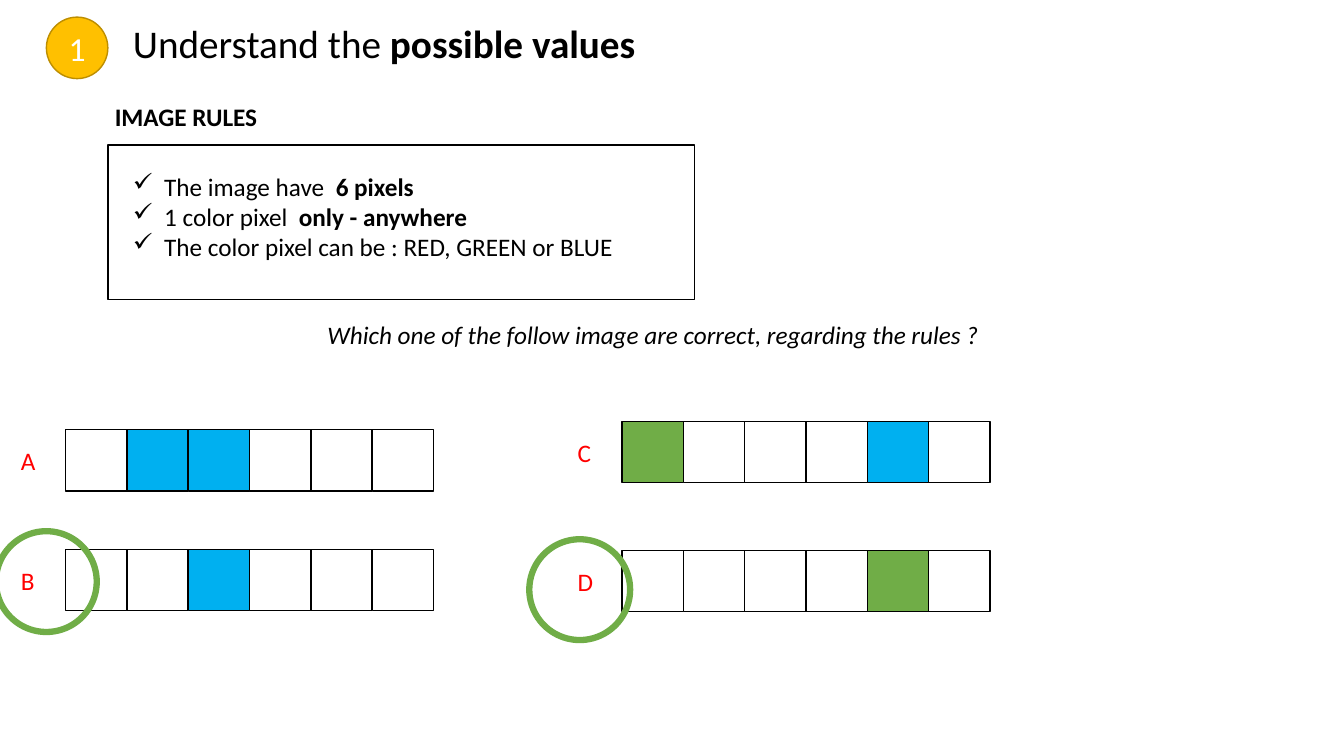
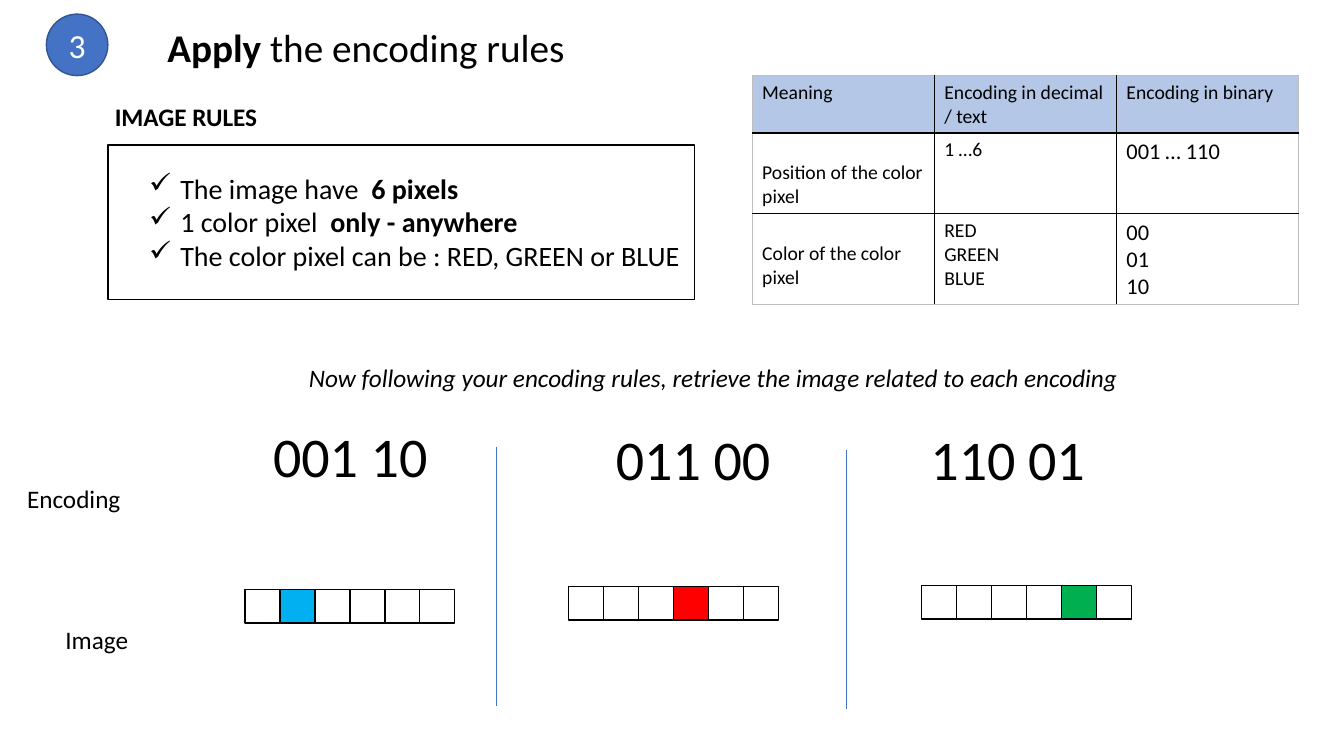
from lxml import etree
from pptx import Presentation
from pptx.dml.color import RGBColor
from pptx.enum.shapes import MSO_CONNECTOR, MSO_SHAPE
from pptx.enum.text import MSO_ANCHOR, PP_ALIGN
from pptx.oxml import parse_xml
from pptx.oxml.ns import nsdecls, qn
from pptx.util import Inches, Pt

RECT, OVAL = MSO_SHAPE.RECTANGLE, MSO_SHAPE.OVAL
LINE = MSO_CONNECTOR.STRAIGHT
LEFT, MID = PP_ALIGN.LEFT, PP_ALIGN.CENTER
ANCHOR = MSO_ANCHOR.MIDDLE
FONT = "Calibri"
BLACK, WHITE, RED, GREEN = "000000", "FFFFFF", "FF0000", "70AD47"
SKY, LEAF, BLUE, GOLD = "00B0F0", "00B050", "4472C4", "FFC000"
HEAD, EDGE = "B4C7E7", "BFBFBF"

RULES = [
    [("The image have  ", False), ("6 pixels", True)],
    [("1 color pixel  ", False), ("only - anywhere", True)],
    [("The color pixel can be : RED, GREEN or BLUE", False)],
]
PAGES = [
    dict(num="1", top=0.17, fill=GOLD, line="BD8E00",
         title=[("Understand the ", False), ("possible values", True)],
         area=(1.22, 0.14, 5.45, 0.57), align=LEFT,
         rules=(1.22, 1.65, 5.13, 1.01), size=18, wrap=True,
         ask="Which one of the follow image are correct, regarding the rules ?",
         ask_area=(3.15, 3.12, 7.26, 0.4), ask_align=LEFT),
    dict(num="3", top=0.14, fill=BLUE, line="325491",
         title=[("Apply", True), (" the encoding rules", False)],
         area=(1.38, 0.18, 4.5, 0.57), align=MID,
         rules=(1.38, 1.65, 5.51, 1.11), size=20, wrap=False,
         ask="Now following your encoding rules, retrieve the image related to each encoding",
         ask_area=(2.39, 3.55, 9.37, 0.4), ask_align=MID),
]
CHOICES = [
    ("A", 0.65, 4.26, {1: SKY, 2: SKY}),
    ("B", 0.65, 5.45, {2: SKY}),
    ("C", 6.17, 4.18, {0: GREEN, 4: SKY}),
    ("D", 6.17, 5.46, {4: GREEN}),
]
RINGS = [(-0.04, 5.27), (5.25, 5.35)]
CODES = [
    ("001 10", 2.61, 4.13, 2.43, 5.85, {1: SKY}),
    ("011 00", 6.01, 4.16, 5.64, 5.82, {3: RED}),
    ("110 01", 9.13, 4.16, 9.14, 5.81, {4: LEAF}),
]
LABELS = [("Encoding", (0.17, 4.75, 1.14, 0.4)), ("Image", (0.55, 6.14, 0.83, 0.4))]
RULERS = [(4.92, 4.43), (8.39, 4.46)]
TABLE = [
    ["Meaning", "Encoding in decimal / text", "Encoding in binary"],
    ["Position of the color pixel", "1 …6", "001 … 110"],
    ["Color of the color pixel", "RED\nGREEN\nBLUE", "00\n01\n10"],
]
ROWS = [0.57, 0.8, 0.9]


def rgb(code):
    """Turn a hex string into a colour."""
    return RGBColor.from_string(code)


def style(run, size, color=BLACK, bold=False, italic=False):
    """Format one run."""
    font = run.font
    font.name, font.size = FONT, Pt(size)
    font.bold, font.italic = bold, italic
    font.color.rgb = rgb(color)


def write(slide, area, lines, size, color=BLACK, italic=False, align=LEFT, wrap=True):
    """Add a text box whose lines are lists of (text, bold) parts."""
    frame = slide.shapes.add_textbox(*map(Inches, area)).text_frame
    frame.word_wrap = wrap
    for i, parts in enumerate(lines):
        para = frame.add_paragraph() if i else frame.paragraphs[0]
        para.alignment = align
        for text, bold in parts:
            run = para.add_run()
            run.text = text
            style(run, size, color, bold, italic)
    return frame


def draw(slide, kind, area, fill=None, line=BLACK, width=1):
    """Add a flat outlined shape, filled or hollow."""
    shape = slide.shapes.add_shape(kind, *map(Inches, area))
    shape.shadow.inherit = False
    if fill:
        shape.fill.solid()
        shape.fill.fore_color.rgb = rgb(fill)
    else:
        shape.fill.background()
    shape.line.color.rgb = rgb(line)
    shape.line.width = Pt(width)
    return shape


def strip(slide, left, top, width, height, marks):
    """Draw a row of six pixels with some of them coloured."""
    step = width / 6
    for i in range(6):
        draw(slide, RECT, (left + i * step, top, step, height), marks.get(i, WHITE))


def check(para):
    """Give a paragraph a hanging tick."""
    props = para._p.get_or_add_pPr()
    props.set("marL", str(Inches(0.31)))
    props.set("indent", str(-Inches(0.31)))
    etree.SubElement(props, qn("a:buChar")).set("char", "✓")


def start(deck, page):
    """Add a slide with its badge, title, rules and question."""
    slide = deck.slides.add_slide(deck.slide_layouts[6])
    badge = draw(slide, OVAL, (0.46, page["top"], 0.61, 0.61), page["fill"], page["line"])
    frame = badge.text_frame
    frame.text = page["num"]
    frame.vertical_anchor = ANCHOR
    frame.paragraphs[0].alignment = MID
    style(frame.paragraphs[0].runs[0], 24, WHITE)
    write(slide, page["area"], [page["title"]], 28, align=page["align"])
    write(slide, (1.04, 0.96, 1.63, 0.4), [[("IMAGE RULES", True)]], 18, wrap=False)
    draw(slide, RECT, (1.07, 1.44, 5.82, 1.53))
    rules = write(slide, page["rules"], RULES, page["size"], wrap=page["wrap"])
    for para in rules.paragraphs:
        check(para)
    write(slide, page["ask_area"], [[(page["ask"], False)]], 18, italic=True,
          align=page["ask_align"])
    return slide


def border(cell, side, color):
    """Draw one side of a table cell."""
    cell._tc.get_or_add_tcPr().append(parse_xml(
        f'<a:ln{side} {nsdecls("a")} w="12700"><a:solidFill>'
        f'<a:srgbClr val="{color}"/></a:solidFill></a:ln{side}>'))


def grid(slide):
    """Add the table of encodings."""
    table = slide.shapes.add_table(
        3, 3, Inches(7.46), Inches(0.75), Inches(5.42), Inches(sum(ROWS))).table
    table.first_row = table.horz_banding = False
    for r, texts in enumerate(TABLE):
        table.rows[r].height = Inches(ROWS[r])
        for c, text in enumerate(texts):
            cell = table.cell(r, c)
            outer = {"L": c == 0, "R": c == 2, "T": r == 0, "B": r == 2}
            for side, edge in outer.items():
                border(cell, side, EDGE if edge else BLACK)
            if r:
                cell.fill.background()
            else:
                cell.fill.solid()
                cell.fill.fore_color.rgb = rgb(HEAD)
            if r and c == 0:
                cell.margin_top = Inches(0.28)
            cell.text_frame.text = text
            for para in cell.text_frame.paragraphs:
                style(para.runs[0], 16 if r and c == 2 else 14)


def choose(deck):
    """Build the slide of four candidate images."""
    slide = start(deck, PAGES[0])
    for name, left, top, marks in CHOICES:
        area = (left - 0.54, top + 0.11, 0.35, 0.4)
        write(slide, area, [[(name, False)]], 18, RED)
        strip(slide, left, top, 3.65, 0.61, marks)
    for left, top in RINGS:
        draw(slide, OVAL, (left, top, 1, 1), line=GREEN, width=4.5)


def decode(deck):
    """Build the slide of three encodings and their images."""
    slide = start(deck, PAGES[1])
    grid(slide)
    for text, area in LABELS:
        write(slide, area, [[(text, False)]], 18, wrap=False)
    for code, x, y, left, top, marks in CODES:
        write(slide, (x, y, 1.75, 0.77), [[(code, False)]], 40, wrap=False)
        strip(slide, left, top, 2.08, 0.33, marks)
    for x, y in RULERS:
        rule = slide.shapes.add_connector(
            LINE, Inches(x), Inches(y), Inches(x), Inches(y + 2.57))
        rule.line.color.rgb = rgb(BLUE)
        rule.line.width = Pt(0.5)
        etree.SubElement(rule._element.spPr, qn("a:effectLst"))


def main():
    """Build and save the deck."""
    deck = Presentation()
    deck.slide_width, deck.slide_height = Inches(13.33), Inches(7.5)
    choose(deck)
    decode(deck)
    deck.save("out.pptx")


if __name__ == "__main__":
    main()
